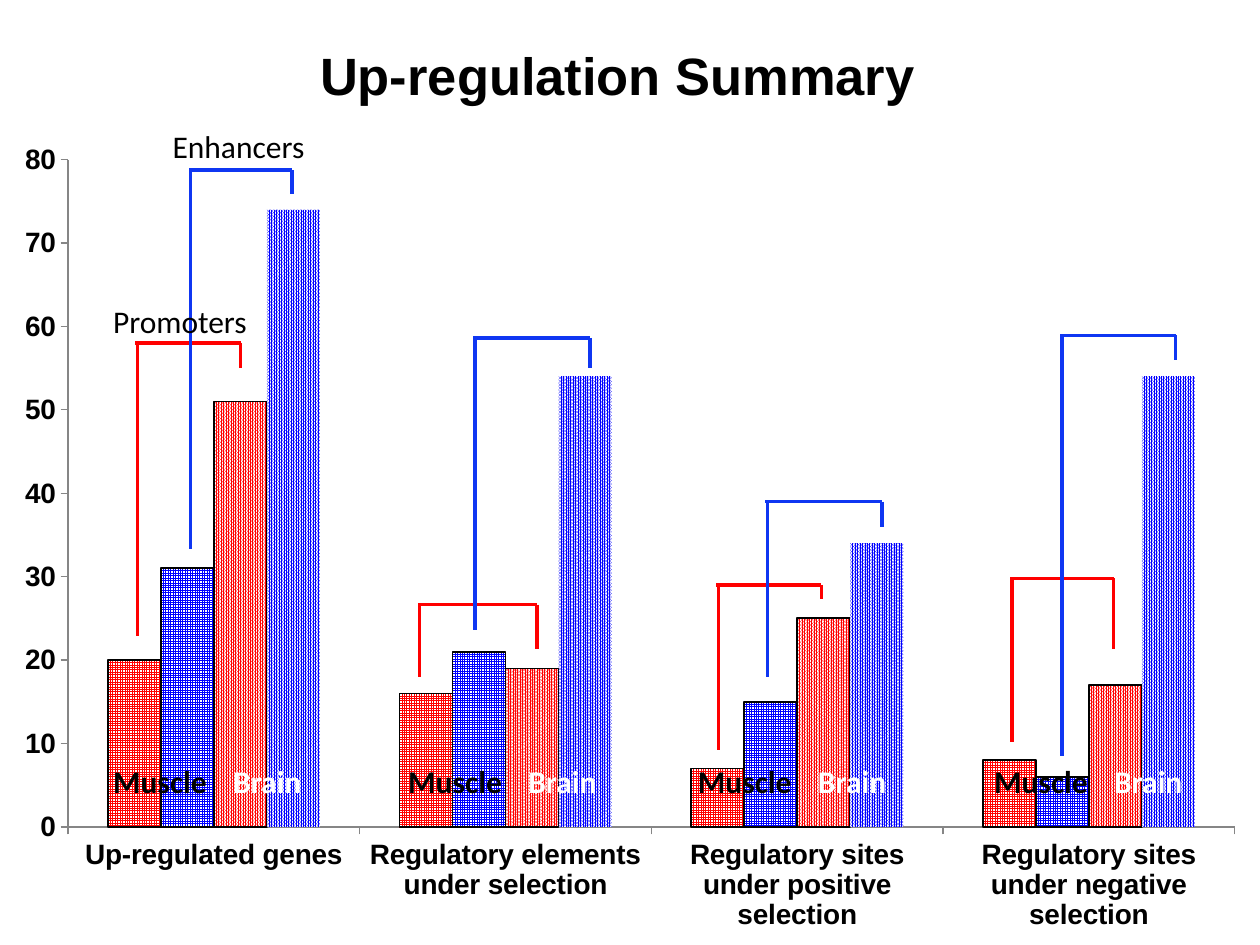
from lxml import etree
from pptx import Presentation
from pptx.chart.data import CategoryChartData
from pptx.dml.color import RGBColor
from pptx.enum.chart import XL_CHART_TYPE, XL_TICK_MARK
from pptx.enum.dml import MSO_PATTERN
from pptx.enum.shapes import MSO_CONNECTOR
from pptx.enum.text import MSO_ANCHOR, MSO_AUTO_SIZE, PP_ALIGN
from pptx.oxml import parse_xml
from pptx.oxml.ns import nsdecls, qn
from pptx.util import Cm, Pt

CLUSTERED = XL_CHART_TYPE.COLUMN_CLUSTERED
TICK_OUTSIDE = XL_TICK_MARK.OUTSIDE
TICK_NONE = XL_TICK_MARK.NONE
GRID = MSO_PATTERN.SMALL_GRID
DENSE = MSO_PATTERN.PERCENT_90
STRAIGHT = MSO_CONNECTOR.STRAIGHT
MIDDLE = MSO_ANCHOR.MIDDLE
GROW = MSO_AUTO_SIZE.SHAPE_TO_FIT_TEXT
CENTER = PP_ALIGN.CENTER

BLACK = RGBColor(0x00, 0x00, 0x00)
WHITE = RGBColor(0xFF, 0xFF, 0xFF)
RED = RGBColor(0xFF, 0x00, 0x00)
BLUE = RGBColor(0x00, 0x00, 0xFF)
BRACKET_BLUE = RGBColor(0x0F, 0x36, 0xF2)
AXIS_GRAY = RGBColor(0x86, 0x86, 0x86)

CATEGORIES = [
    "Up-regulated genes",
    "Regulatory elements under selection",
    "Regulatory sites under positive selection",
    "Regulatory sites under negative selection",
]
SERIES = [
    ("Series 1", (20, 16, 7, 8), GRID, RED, True),
    ("Series 2", (31, 21, 15, 6), GRID, BLUE, True),
    ("Series 3", (51, 19, 25, 17), DENSE, RED, True),
    ("Series 4", (74, 54, 34, 54), DENSE, BLUE, False),
]
PROMOTER_BRACKETS = [
    (2.77, 4.85, 6.91, 12.83, 7.42),
    (8.46, 10.82, 12.19, 13.64, 13.08),
    (14.48, 16.56, 11.79, 15.11, 12.07),
    (20.4, 22.45, 11.66, 14.96, 13.08),
]
ENHANCER_BRACKETS = [
    (3.84, 5.89, 3.43, 11.07, 3.91),
    (9.58, 11.89, 6.81, 12.7, 7.42),
    (15.47, 17.78, 10.11, 13.64, 10.62),
    (21.41, 23.7, 6.76, 15.24, 7.26),
]
TISSUE_LEFTS = [2.03, 7.98, 13.82, 19.79]
TISSUE_TOP = 15.24
BRAIN_OFFSET = 2.42


class SlideBuilder:
    heading_font = "Arial"
    label_font = "Calibri"

    def __init__(self, slide):
        self.slide = slide

    def style(self, font, name, size, color, bold=False):
        font.name = name
        font.size = Pt(size)
        font.bold = bold
        font.color.rgb = color

    def title(self, text, left, top, width, height):
        shape = self.slide.shapes.title
        shape.left, shape.top = Cm(left), Cm(top)
        shape.width, shape.height = Cm(width), Cm(height)
        shape.text_frame.text = text
        shape.text_frame.vertical_anchor = MIDDLE
        paragraph = shape.text_frame.paragraphs[0]
        paragraph.alignment = CENTER
        self.style(paragraph.runs[0].font, self.heading_font, 30, BLACK, True)

    def label(self, text, left, top, width, color=BLACK, bold=False):
        shape = self.slide.shapes.add_textbox(Cm(left), Cm(top), Cm(width), Cm(1.02))
        text_frame = shape.text_frame
        text_frame.text = text
        text_frame.word_wrap = False
        text_frame.auto_size = GROW
        run = text_frame.paragraphs[0].runs[0]
        self.style(run.font, self.label_font, 18, color, bold)

    def line(self, start_x, start_y, end_x, end_y, color):
        connector = self.slide.shapes.add_connector(
            STRAIGHT, Cm(start_x), Cm(start_y), Cm(end_x), Cm(end_y)
        )
        connector.line.color.rgb = color
        connector.line.width = Pt(2)
        etree.SubElement(connector._element.spPr, qn("a:effectLst"))

    def bracket(self, left, right, top, left_end, right_end, color):
        self.line(right, top, left - 0.04, top, color)
        self.line(right, top, right, right_end, color)
        self.line(left, top, left, left_end, color)

    def axis(self, axis):
        axis.has_major_gridlines = False
        axis.major_tick_mark = TICK_OUTSIDE
        axis.minor_tick_mark = TICK_NONE
        axis.format.line.color.rgb = AXIS_GRAY
        axis.format.line.width = Pt(0.75)
        self.style(axis.tick_labels.font, self.heading_font, 16, BLACK, True)

    def plot_layout(self, chart, left, top, width, height):
        plot_area = chart._chartSpace.chart.plotArea
        for layout in plot_area.findall(qn("c:layout")):
            plot_area.remove(layout)
        plot_area.insert(0, parse_xml(
            f'<c:layout {nsdecls("c")}><c:manualLayout><c:layoutTarget val="inner"/>'
            '<c:xMode val="edge"/><c:yMode val="edge"/>'
            f'<c:x val="{left}"/><c:y val="{top}"/><c:w val="{width}"/><c:h val="{height}"/>'
            '</c:manualLayout></c:layout>'
        ))

    def chart(self, categories, series_rows, left, top, width, height):
        data = CategoryChartData()
        data.categories = categories
        for name, values, *_ in series_rows:
            data.add_series(name, values)
        chart = self.slide.shapes.add_chart(
            CLUSTERED, Cm(left), Cm(top), Cm(width), Cm(height), data
        ).chart
        chart.has_title = False
        chart.has_legend = False
        self.style(chart.font, self.label_font, 10, BLACK)
        self.axis(chart.category_axis)
        self.axis(chart.value_axis)
        chart.value_axis.minimum_scale = 0
        chart.value_axis.maximum_scale = 80
        chart.value_axis.major_unit = 10
        plot = chart.plots[0]
        plot.gap_width = 150
        plot.overlap = 0
        plot.vary_by_categories = False
        for series, (_, _, pattern, color, outlined) in zip(plot.series, series_rows):
            fill = series.format.fill
            fill.patterned()
            fill.pattern = pattern
            fill.fore_color.rgb = color
            fill.back_color.rgb = WHITE
            if outlined:
                series.format.line.color.rgb = BLACK
                series.format.line.width = Pt(1)
            else:
                series.format.line.fill.background()
        self.plot_layout(chart, 0.054, 0.038, 0.926, 0.815)


def main():
    presentation = Presentation()
    presentation.slide_width = Cm(25.4)
    presentation.slide_height = Cm(19.05)
    slide = presentation.slides.add_slide(presentation.slide_layouts[5])
    builder = SlideBuilder(slide)

    builder.title("Up-regulation Summary", 1.02, -0.08, 22.86, 3.18)
    builder.chart(CATEGORIES, SERIES, 0, 2.59, 25.4, 16.51)
    for promoter, enhancer in zip(PROMOTER_BRACKETS, ENHANCER_BRACKETS):
        builder.bracket(*promoter, RED)
        builder.bracket(*enhancer, BRACKET_BLUE)
    builder.label("Enhancers", 3.23, 2.44, 3.23)
    builder.label("Promoters", 2.03, 5.97, 3.28)
    for left in TISSUE_LEFTS:
        builder.label("Brain", left + BRAIN_OFFSET, TISSUE_TOP, 1.93, WHITE, True)
        builder.label("Muscle", left, TISSUE_TOP, 2.44, BLACK, True)

    presentation.save("out.pptx")


if __name__ == "__main__":
    main()
